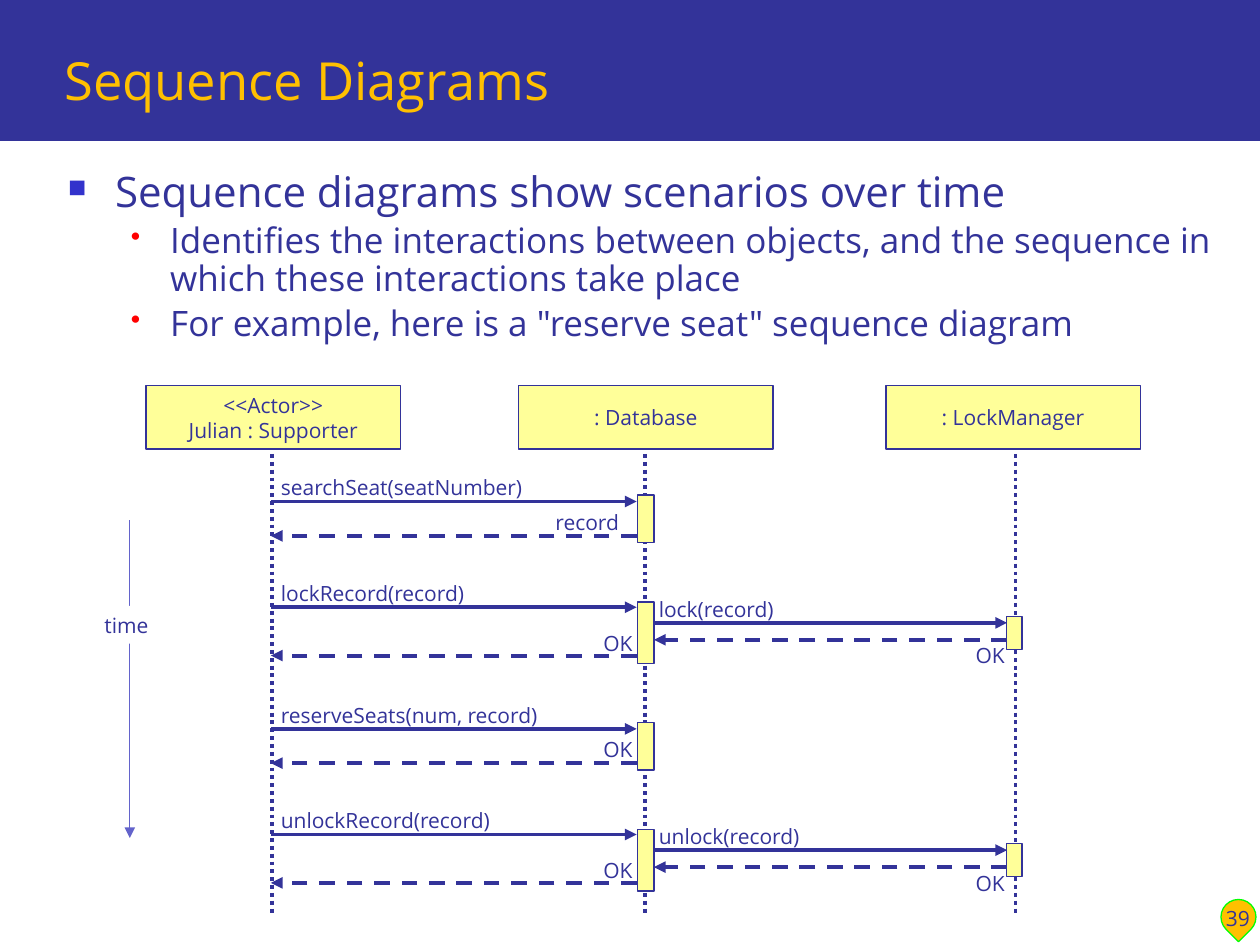
import pptx
import pptx.util
import pptx.dml.color
import pptx.enum.dml
import pptx.enum.shapes
import pptx.enum.text
import pptx.oxml.ns
import lxml.etree

Pt = pptx.util.Pt
RGBColor = pptx.dml.color.RGBColor
SHAPE = pptx.enum.shapes.MSO_SHAPE
ANCHOR = pptx.enum.text.MSO_ANCHOR
ALIGN = pptx.enum.text.PP_ALIGN
DASH = pptx.enum.dml.MSO_LINE
qn = pptx.oxml.ns.qn

NAVY = RGBColor(0x33, 0x33, 0x99)
GOLD = RGBColor(0xFF, 0xC0, 0x00)
GREEN = RGBColor(0x00, 0xFF, 0x00)
YELLOW = RGBColor(0xFF, 0xFF, 0x99)
WHITE = RGBColor(0xFF, 0xFF, 0xFF)
BLUE = RGBColor(0x33, 0x33, 0xCC)
RED = RGBColor(0xFF, 0x00, 0x00)
LAVENDER = RGBColor(0x63, 0x63, 0xCB)
FONT = "Open Sans"

deck = pptx.Presentation()
deck.slide_width, deck.slide_height = Pt(720), Pt(540)
page = deck.slides.add_slide(deck.slide_layouts[5])


def add_box(left, top, width, height, text="", fill=None, line=None,
            preset=SHAPE.RECTANGLE, align=ALIGN.LEFT, anchor=ANCHOR.TOP):
    place = Pt(left), Pt(top), Pt(width), Pt(height)
    if fill is None:
        box = page.shapes.add_textbox(*place)
    else:
        box = page.shapes.add_shape(preset, *place)
        box.shadow.inherit = False
        box.fill.solid()
        box.fill.fore_color.rgb = fill
        if line is None:
            box.line.fill.background()
        else:
            box.line.color.rgb = line
            box.line.width = Pt(0.75)
    if text:
        frame = box.text_frame
        frame.word_wrap = False
        frame.vertical_anchor = anchor
        frame.text = text
        for para in frame.paragraphs:
            para.alignment = align
            para.font.name, para.font.size = FONT, Pt(12)
            para.font.color.rgb = NAVY
    return box


def add_line(x1, y1, x2, y2, dash=None, arrow=True, color=NAVY, weight=2.25):
    line = page.shapes.add_connector(
        pptx.enum.shapes.MSO_CONNECTOR.STRAIGHT, Pt(x1), Pt(y1), Pt(x2), Pt(y2))
    line.line.color.rgb = color
    line.line.width = Pt(weight)
    if dash is not None:
        line.line.dash_style = dash
    properties = line.element.spPr
    if arrow:
        outline = properties.find(qn("a:ln"))
        lxml.etree.SubElement(outline, qn("a:tailEnd"), type="triangle")
    lxml.etree.SubElement(properties, qn("a:effectLst"))


title = page.shapes.title
title.left, title.top, title.width, title.height = Pt(29.5), Pt(12.2), Pt(673.2), Pt(54.7)
title.text_frame.text = "Sequence Diagrams"
title.text_frame.vertical_anchor = ANCHOR.BOTTOM
heading = title.text_frame.paragraphs[0]
heading.alignment = ALIGN.LEFT
heading.font.name, heading.font.size = FONT, Pt(30)
heading.font.color.rgb = GOLD

band = add_box(0, 0, 720, 80.6, fill=NAVY)
title.element.addprevious(band.element)

badge = add_box(697.7, 514, 20, 20, fill=GOLD, line=GREEN, preset=SHAPE.TEAR)
badge.rotation = 134.9
add_box(686.9, 499.7, 41, 36, "39", align=ALIGN.CENTER, anchor=ANCHOR.BOTTOM)

body = page.shapes.add_textbox(Pt(31.7), Pt(94.3), Pt(668.2), Pt(170)).text_frame
body.word_wrap = True
top_level = (0, 27, 27, "■", BLUE, 60, 24, 0)
sub_level = (1, 58.5, 22.5, "•", RED, 80, 20, 4)
points = [
    ("Sequence diagrams show scenarios over time", top_level),
    ("Identifies the interactions between objects, and the sequence in "
     "which these interactions take place", sub_level),
    ('For example, here is a "reserve seat" sequence diagram', sub_level),
]
for index, (text, style) in enumerate(points):
    level, margin, hanging, bullet, bullet_color, percent, size, before = style
    para = body.add_paragraph() if index else body.paragraphs[0]
    para.text = text
    para.level = level
    para.line_spacing = 0.9
    para.space_before = Pt(before)
    properties = para._p.get_or_add_pPr()
    properties.set("marL", str(Pt(margin)))
    properties.set("indent", str(-Pt(hanging)))
    color = lxml.etree.SubElement(properties, qn("a:buClr"))
    lxml.etree.SubElement(color, qn("a:srgbClr"), val=str(bullet_color))
    lxml.etree.SubElement(properties, qn("a:buSzPct"), val=str(percent * 1000))
    lxml.etree.SubElement(properties, qn("a:buChar"), char=bullet)
    para.font.name, para.font.size = FONT, Pt(size)
    para.font.color.rgb = NAVY

participants = [
    (155.4, 83.5, "<<Actor>>\nJulian : Supporter"),
    (368.6, 296.4, ": Database"),
    (580.3, 506.2, ": LockManager"),
]
for lifeline, left, name in participants:
    add_line(lifeline, 246, lifeline, 522, DASH.ROUND_DOT, arrow=False)
    add_box(left, 220.3, 145.4, 36.3, name, YELLOW, NAVY,
            align=ALIGN.CENTER, anchor=ANCHOR.MIDDLE)

ACTOR, DATABASE, DATABASE_OUT, LOCK = 154.8, 363.8, 373.7, 575.5
CYCLE = 129.9
cycles = [
    (("searchSeat(seatNumber)", 154), ("record", 310.3, 51.8),
     ("lockRecord(record)", 121), ("lock(record)", 81.4)),
    (("reserveSeats(num, record)", 163.4), ("OK", 337.7, 31.7),
     ("unlockRecord(record)", 136), ("unlock(record)", 96.5)),
]
for index, (call, reply, lock_call, nested_call) in enumerate(cycles):
    shift = index * CYCLE
    messages = [
        (ACTOR, DATABASE, 286.6, None, (153.4, 267.8, *call)),
        (DATABASE, ACTOR, 306.2, DASH.DASH, (reply[1], 287.6, reply[2], reply[0])),
        (ACTOR, DATABASE, 347, None, (153.4, 328.3, *lock_call)),
        (DATABASE, ACTOR, 374.6, DASH.DASH, (337.7, 356.6, 31.7, "OK")),
        (DATABASE_OUT, LOCK, 355.9, None, (369.4, 337.2, *nested_call)),
        (LOCK, DATABASE_OUT, 365.6, DASH.DASH, (550.4, 363.8, 31.7, "OK")),
    ]
    for start, end, y, dash, label in messages:
        add_line(start, y + shift, end, y + shift, dash)
        left, top, *rest = label
        text, width = sorted(rest, key=lambda item: not isinstance(item, str))
        add_box(left, top + shift, width, 21.6, text)
    for left, top, width, height in [
            (364.3, 282.8, 9.4, 27.4), (364.3, 344, 9.4, 35.3), (575.3, 352.3, 8.8, 18.7)]:
        add_box(left, top + shift, width, height, fill=YELLOW, line=NAVY)

add_line(74.2, 297.4, 74.2, 478.8, color=LAVENDER, weight=0.75)
add_box(52.6, 346.3, 39.6, 21.6, "time", WHITE)

deck.save("out.pptx")
